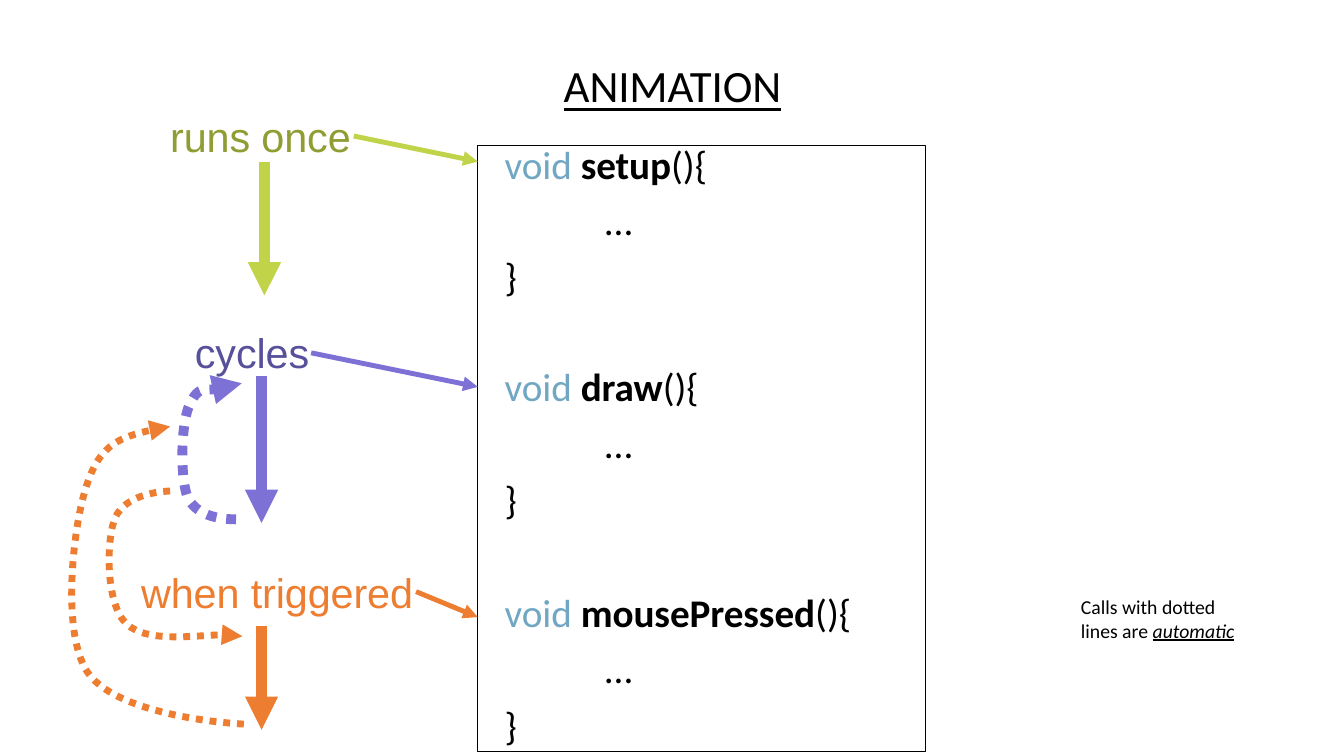
from lxml.etree import SubElement
from pptx import Presentation
from pptx.dml.color import RGBColor
from pptx.enum.dml import MSO_LINE
from pptx.enum.shapes import MSO_CONNECTOR, MSO_SHAPE
from pptx.enum.text import MSO_ANCHOR, PP_ALIGN
from pptx.oxml.ns import qn
from pptx.util import Inches, Pt

BLACK, KEYWORD_BLUE = "000000", "71A7C2"
LIME, PURPLE, ORANGE = "C1D348", "7D71D6", "ED7D31"

LABELS = [
    ("runs once", "8F9D33", 2.4, 1.57, 2.59),
    ("cycles", "57509B", 2.75, 4.62, 1.65),
    ("when triggered", ORANGE, 1.99, 8, 3.87),
]
ARROWS = [
    ((3.73, 2.28), (3.73, 4.17), LIME, 11.25),
    ((4.99, 1.92), (6.74, 2.28), LIME, 5),
    ((3.69, 5.31), (3.69, 7.38), PURPLE, 11.25),
    ((4.39, 4.98), (6.74, 5.46), PURPLE, 5),
    ((3.69, 8.83), (3.69, 10.3), ORANGE, 11.25),
    ((5.87, 8.35), (6.74, 8.71), ORANGE, 5),
]
DOTTED_CALLS = [
    (PURPLE, 10, [(3.33, 7.33), (3.08, 7.33), (2.75, 7.27), (2.64, 7), (2.54, 6.72),
                  (2.55, 5.96), (2.68, 5.7), (2.81, 5.43), (3.41, 5.48), (3.41, 5.41)]),
    (ORANGE, 7, [(2.4, 6.93), (2.14, 6.94), (1.71, 7.03), (1.61, 7.35), (1.5, 7.66),
                 (1.49, 8.54), (1.79, 8.81), (2.09, 9.08), (3.42, 8.9), (3.42, 8.98)]),
    (ORANGE, 7, [(3.44, 10.22), (3.02, 10.2), (1.6, 10.05), (1.23, 9.48), (0.86, 8.92),
                 (1.03, 7.4), (1.23, 6.83), (1.42, 6.25), (1.88, 6.1), (2.4, 6.02)]),
]
FUNCTIONS = [("setup", 0), ("draw", 69), ("mousePressed", 72)]


def color(value):
    """Turn a hex string into a colour."""
    return RGBColor.from_string(value)


def add_run(paragraph, text, size, fill=BLACK, name="Calibri", bold=False, spacing=0):
    """Add one formatted run and return it."""
    run = paragraph.add_run()
    run.text = text
    run.font.size = Pt(size)
    run.font.name = name
    run.font.bold = bold
    run.font.color.rgb = color(fill)
    if spacing:
        run.font._element.set("spc", str(spacing))
    return run


def clear_margins(frame):
    """Remove the insets of a text frame and make it wrap."""
    frame.word_wrap = True
    frame.margin_left = frame.margin_right = frame.margin_top = frame.margin_bottom = 0


def style_arrow(line, stroke, width):
    """Colour a line and give it a triangular arrowhead."""
    line.color.rgb = color(stroke)
    line.width = Pt(width)
    SubElement(line._get_or_add_ln(), qn("a:tailEnd"), type="triangle")


def add_arrow(slide, start, end, stroke, width):
    """Draw a straight arrow."""
    connector = slide.shapes.add_connector(
        MSO_CONNECTOR.STRAIGHT, *[Inches(value) for value in start + end])
    style_arrow(connector.line, stroke, width)
    SubElement(connector._element.spPr, qn("a:effectLst"))


def add_dotted_curve(slide, stroke, width, points):
    """Draw a dotted arrow along cubic curves, three points to a curve."""
    points = [(Inches(x), Inches(y)) for x, y in points]
    builder = slide.shapes.build_freeform(*points[0])
    builder.add_line_segments(points[1:], close=False)
    shape = builder.convert_to_shape()
    outline = shape._element.find(".//" + qn("a:path"))
    segments = outline.findall(qn("a:lnTo"))
    for first in range(0, len(segments), 3):
        curve = SubElement(outline, qn("a:cubicBezTo"))
        for segment in segments[first:first + 3]:
            curve.append(segment[0])
            outline.remove(segment)
    shape.fill.background()
    shape.shadow.inherit = False
    shape.line.dash_style = MSO_LINE.ROUND_DOT
    style_arrow(shape.line, stroke, width)


def add_title(slide):
    """Fill and place the underlined title."""
    title = slide.shapes.title
    title.left, title.top = Inches(4.48), Inches(0.58)
    title.width, title.height = Inches(10), Inches(1.21)
    title.text_frame.vertical_anchor = MSO_ANCHOR.MIDDLE
    paragraph = title.text_frame.paragraphs[0]
    paragraph.alignment = PP_ALIGN.CENTER
    paragraph.line_spacing = 0.9
    run = add_run(paragraph, "animation", 56.9, spacing=-10)
    run.font.underline = True
    run.font._element.set("cap", "small")


def add_label(slide, text, fill, left, top, width):
    """Add a large coloured label."""
    box = slide.shapes.add_textbox(Inches(left), Inches(top), Inches(width), Inches(0.71))
    clear_margins(box.text_frame)
    add_run(box.text_frame.paragraphs[0], text, 42, fill, "Arial", spacing=-10)


def add_code_line(frame, runs, indent, space_before):
    """Add one line of code made of text, colour and weight runs."""
    first = not frame.paragraphs[0].runs
    paragraph = frame.paragraphs[0] if first else frame.add_paragraph()
    paragraph.alignment = PP_ALIGN.LEFT
    paragraph.line_spacing = 0.9
    paragraph.space_before = Pt(space_before)
    paragraph._p.get_or_add_pPr().set("marL", str(Inches(indent)))
    for text, fill, bold in runs:
        add_run(paragraph, text, 39.8, fill, bold=bold, spacing=-10)


def add_code_box(slide):
    """Add the framed listing of the three functions."""
    box = slide.shapes.add_shape(
        MSO_SHAPE.RECTANGLE, Inches(6.74), Inches(2.05), Inches(6.31), Inches(8.56))
    box.fill.background()
    box.line.color.rgb = color(BLACK)
    box.line.width = Pt(0.75)
    box.shadow.inherit = False
    frame = box.text_frame
    clear_margins(frame)
    frame.vertical_anchor = MSO_ANCHOR.TOP
    for name, gap in FUNCTIONS:
        header = [("void ", KEYWORD_BLUE, False), (name, BLACK, True), ("(){", BLACK, False)]
        add_code_line(frame, header, 0.38, gap)
        add_code_line(frame, [("...", BLACK, False)], 1.78, 14.2)
        add_code_line(frame, [("}", BLACK, False)], 0.38, 14.2)


def add_note(slide):
    """Add the remark about dotted lines."""
    box = slide.shapes.add_textbox(Inches(15.15), Inches(8.35), Inches(2.5), Inches(0.77))
    box.text_frame.word_wrap = True
    paragraph = box.text_frame.paragraphs[0]
    add_run(paragraph, "Calls with dotted lines are ", 20)
    emphasis = add_run(paragraph, "automatic", 20)
    emphasis.font.italic = True
    emphasis.font.underline = True


def main():
    """Build the slide and save it."""
    presentation = Presentation()
    presentation.slide_width, presentation.slide_height = Inches(18.96), Inches(10.67)
    slide = presentation.slides.add_slide(presentation.slide_layouts[5])
    add_title(slide)
    add_code_box(slide)
    for label in LABELS:
        add_label(slide, *label)
    for arrow in ARROWS:
        add_arrow(slide, *arrow)
    for call in DOTTED_CALLS:
        add_dotted_curve(slide, *call)
    add_note(slide)
    presentation.save("out.pptx")


if __name__ == "__main__":
    main()
